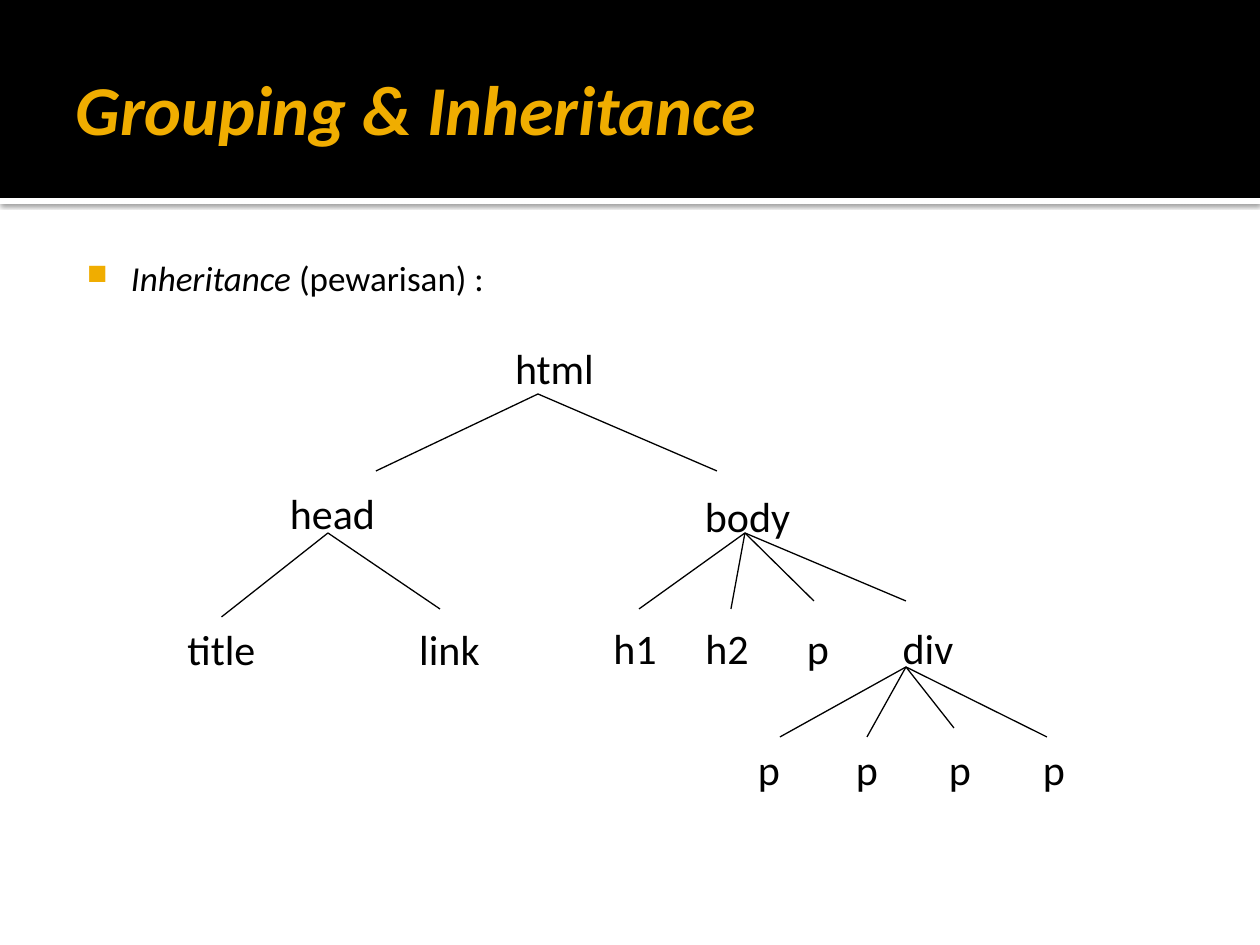
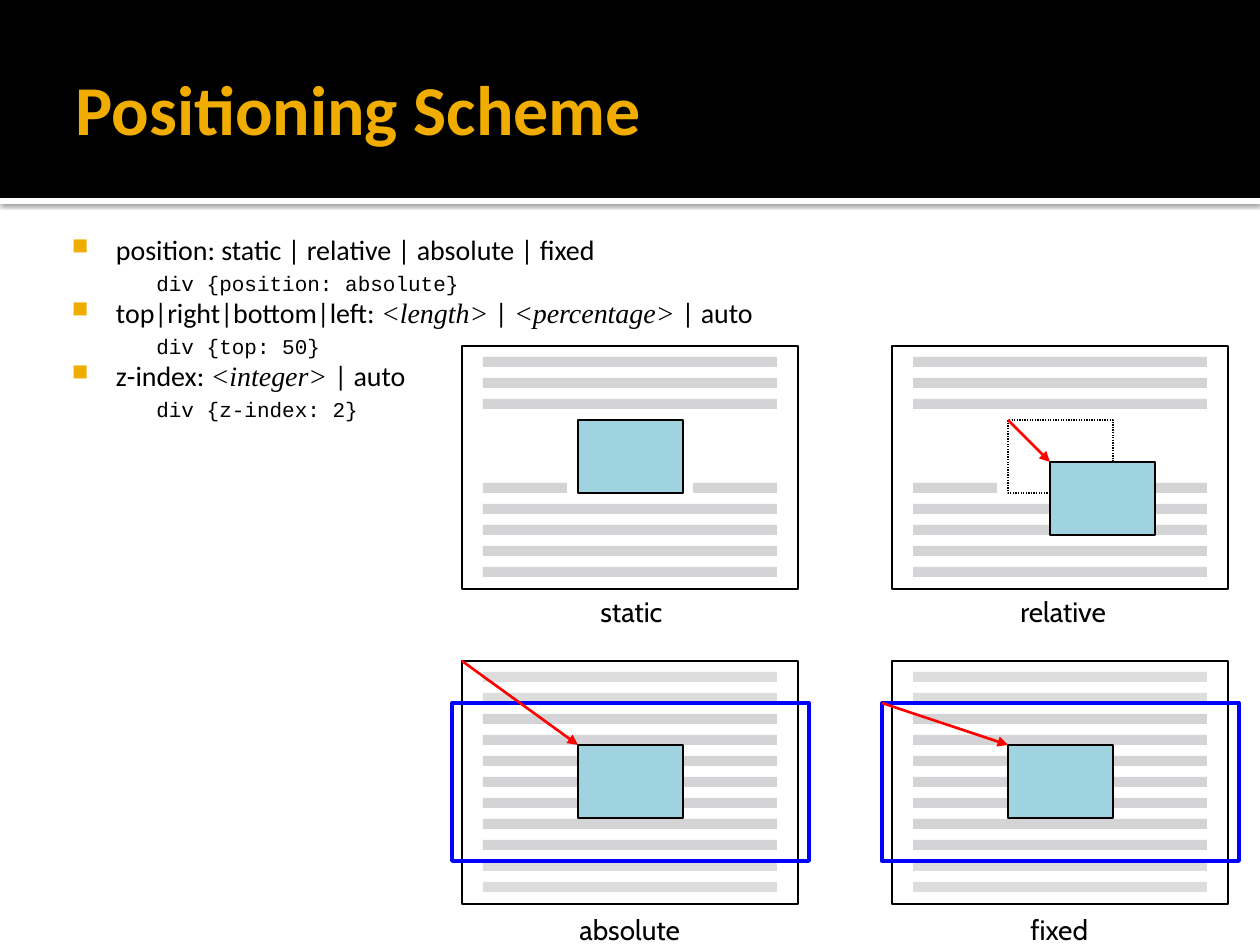
from pptx import Presentation
from pptx.dml.color import RGBColor
from pptx.enum.dml import MSO_LINE as Dash
from pptx.enum.shapes import MSO_CONNECTOR as Wire, MSO_SHAPE as Form
from pptx.enum.text import MSO_ANCHOR as Anchor, MSO_AUTO_SIZE as Fit, PP_ALIGN as Align
from pptx.oxml import parse_xml
from pptx.oxml.ns import nsdecls
from pptx.util import Inches, Pt
from lxml.etree import SubElement

PX = 7257
NS = nsdecls("a")
HUES = {"black": "000000", "white": "FFFFFF", "gold": "F0AD00", "grey": "D4D4D6",
        "pale": "DDDDDD", "aqua": "A0D3E0", "red": "FF0000", "blue": "0000FF"}
INK = {name: RGBColor.from_string(code) for name, code in HUES.items()}


def box(page, at, fill=None, edge=None, wide=0.75):
    shape = page.shapes.add_shape(Form.RECTANGLE, *[v * PX for v in at])
    shape.shadow.inherit = False
    if fill:
        shape.fill.solid()
        shape.fill.fore_color.rgb = INK[fill]
    else:
        shape.fill.background()
    if edge:
        shape.line.color.rgb = INK[edge]
        shape.line.width = Pt(wide)
    else:
        shape.line.fill.background()
    return shape


def wire(page, ends, hue, wide, head=False):
    line = page.shapes.add_connector(Wire.STRAIGHT, *[v * PX for v in ends])
    line.line.color.rgb = INK[hue]
    line.line.width = Pt(wide)
    if head:
        line.line._get_or_add_ln().append(parse_xml(f'<a:tailEnd {NS} type="triangle"/>'))
    SubElement(line.element.spPr, "{http://schemas.openxmlformats.org/drawingml/2006/main}effectLst")
    return line


deck = Presentation()
deck.slide_width, deck.slide_height = Inches(10), Inches(7.5)
plan = deck.slide_layouts[5]

SANS, MONO, SERIF = "Calibri", "Courier New", "Times New Roman"
PAGES = [
    ("Grouping & Inheritance", True, (63, 244, 1134, 638), 20, [
        (True, [("Inheritance ", SANS, True), ("(pewarisan) :", SANS, False)]),
    ]),
    ("Positioning Scheme", False, (48, 220, 1159, 733), 16, [
        (True, [("position: static | relative | absolute | fixed", SANS, False)]),
        (False, [("div {position: absolute}", MONO, False)]),
        (True, [("top|right|bottom|left: ", SANS, False), ("<length>", SERIF, True),
                (" | ", SANS, False), ("<percentage> ", SERIF, True), ("| auto", SANS, False)]),
        (False, [("div {top: 50}", MONO, False)]),
        (True, [("z-index: ", SANS, False), ("<integer> ", SERIF, True), ("| auto", SANS, False)]),
        (False, [("div {z-index: 2}", MONO, False)]),
    ]),
]

for name, slant, at, size, rows in PAGES:
    page = deck.slides.add_slide(plan)
    title = page.shapes.title
    title.left, title.top, title.width, title.height = [v * PX for v in (63, 21, 1134, 173)]
    frame = title.text_frame
    frame.text = name
    frame.word_wrap = True
    frame.auto_size = Fit.NONE
    frame.vertical_anchor = Anchor.MIDDLE
    frame.margin_left = Inches(0.1)
    frame.margin_top = frame.margin_right = frame.margin_bottom = Inches(0.05)
    frame.paragraphs[0].alignment = Align.LEFT
    font = frame.paragraphs[0].runs[0].font
    font.name, font.size, font.bold, font.italic = SANS, Pt(40), True, slant
    font.color.rgb = INK["gold"]

    frame = page.shapes.add_textbox(*[v * PX for v in at]).text_frame
    frame.word_wrap = True
    frame.margin_left, frame.margin_top = Inches(0.06), Inches(0.1)
    for i, (mark, parts) in enumerate(rows):
        para = frame.add_paragraph() if i else frame.paragraphs[0]
        props = para._p.get_or_add_pPr()
        if mark:
            props.set("marL", str(Inches(0.48)))
            props.set("indent", str(-Inches(0.35)))
            for tag in (f'<a:buClr {NS}><a:srgbClr val="{HUES["gold"]}"/></a:buClr>',
                        f'<a:buSzPct {NS} val="80000"/>', f'<a:buChar {NS} char="■"/>'):
                props.append(parse_xml(tag))
        else:
            para.level = 1
            props.set("marL", str(Inches(0.8)))
            props.set("indent", "0")
            para.space_before = Pt(2.4)
        for text, face, tilt in parts:
            run = para.add_run()
            run.text = text
            font = run.font
            font.name, font.size, font.italic = face, Pt(size if mark else 12), tilt
            font.color.rgb = INK["black"]

tree, scheme = deck.slides

stripe = box(tree, (0, 198, 1260, 6), "white")
glow = stripe.element.spPr.find("{*}effectLst")
glow.append(parse_xml(
    f'<a:outerShdw {NS} blurRad="{Pt(2.5)}" dist="{Pt(0.8)}" dir="5400000" rotWithShape="0">'
    f'<a:srgbClr val="{HUES["black"]}"><a:alpha val="60000"/></a:srgbClr></a:outerShdw>'))
band = box(tree, (0, 0, 1260, 198), "black")
for part in (band, stripe):
    plan.shapes.element.insert(2, part.element)

NODES = [
    ("html", 480, 336, 149), ("head", 258, 481, 149), ("body", 673, 484, 149),
    ("title", 147, 617, 149), ("link", 375, 617, 149),
    ("h1", 597, 616, 76), ("h2", 689, 616, 76), ("p", 780, 616, 76), ("div", 869, 616, 118),
    ("p", 731, 737, 76), ("p", 829, 737, 76), ("p", 922, 737, 76), ("p", 1016, 737, 76),
]
tops = []
for text, x, y, w in NODES:
    node = box(tree, (x, y, w, 50), "white", "white")
    frame = node.text_frame
    frame.text = text
    frame.word_wrap = True
    frame.vertical_anchor = Anchor.TOP
    para = frame.paragraphs[0]
    para.alignment, para.space_after = Align.CENTER, Pt(10)
    font = para.runs[0].font
    font.name, font.size = SANS, Pt(24)
    font.color.rgb = INK["black"]
    tops.append((node, x + w / 2, y))

FORKS = [
    (538, 394, [(376, 471), (717, 471)]),
    (328, 533, [(224, 616), (440, 609)]),
    (745, 533, [(639, 609), (731, 609), (814, 601), (906, 601)]),
    (906, 667, [(780, 737), (869, 737), (954, 728), (1047, 737)]),
]
for x, y, tips in FORKS:
    for tip in tips:
        line = wire(tree, (x, y, *tip), "black", 0.75)
        for node, mid, top in tops:
            if abs(mid - tip[0]) < 4 and abs(top - tip[1]) < 4:
                line.end_connect(node, 0)

PANELS = [
    ("static", 462, 346, 588, 588, 91), ("relative", 892, 346, 1008, 588, 116),
    ("absolute", 462, 661, 567, 906, 130), ("fixed", 892, 661, 1018, 906, 84),
]
for name, x, y, left, top, wide in PANELS:
    box(scheme, (x, y, 336, 243), "white", "black")
    flow = name in ("static", "relative")
    for i in range(11):
        level = y + 11 + 21 * i
        if not flow:
            hue = "grey" if 2 <= i <= 8 else "pale"
            box(scheme, (x + 21, level, 294, 10), hue)
        elif i == 6:
            for shift in (21, 231):
                box(scheme, (x + shift, level, 84, 10), "grey")
        elif i < 3 or i > 6:
            box(scheme, (x + 21, level, 294, 10), "grey")

    bx, by = x + 116, y + (74 if flow else 84)
    start = None
    if name == "relative":
        ghost = box(scheme, (bx, by, 105, 73), None, "black")
        ghost.line.dash_style = Dash.ROUND_DOT
        start = (bx, by)
        bx, by = bx + 42, by + 42
    box(scheme, (bx, by, 105, 73), "aqua", "black")
    if not flow:
        box(scheme, (x - 10, y + 42, 357, 158), None, "blue", 2.25)
        start = (x, y) if name == "absolute" else (x - 10, y + 42)
    if start:
        wire(scheme, (*start, bx, by), "red", 1.5, True)

    frame = scheme.shapes.add_textbox(*[v * PX for v in (left, top, wide, 47)]).text_frame
    frame.text = name
    frame.word_wrap = False
    frame.auto_size = Fit.SHAPE_TO_FIT_TEXT
    font = frame.paragraphs[0].runs[0].font
    font.name, font.size = "Cabin", Pt(16)
    font.color.rgb = INK["black"]

deck.save("out.pptx")
